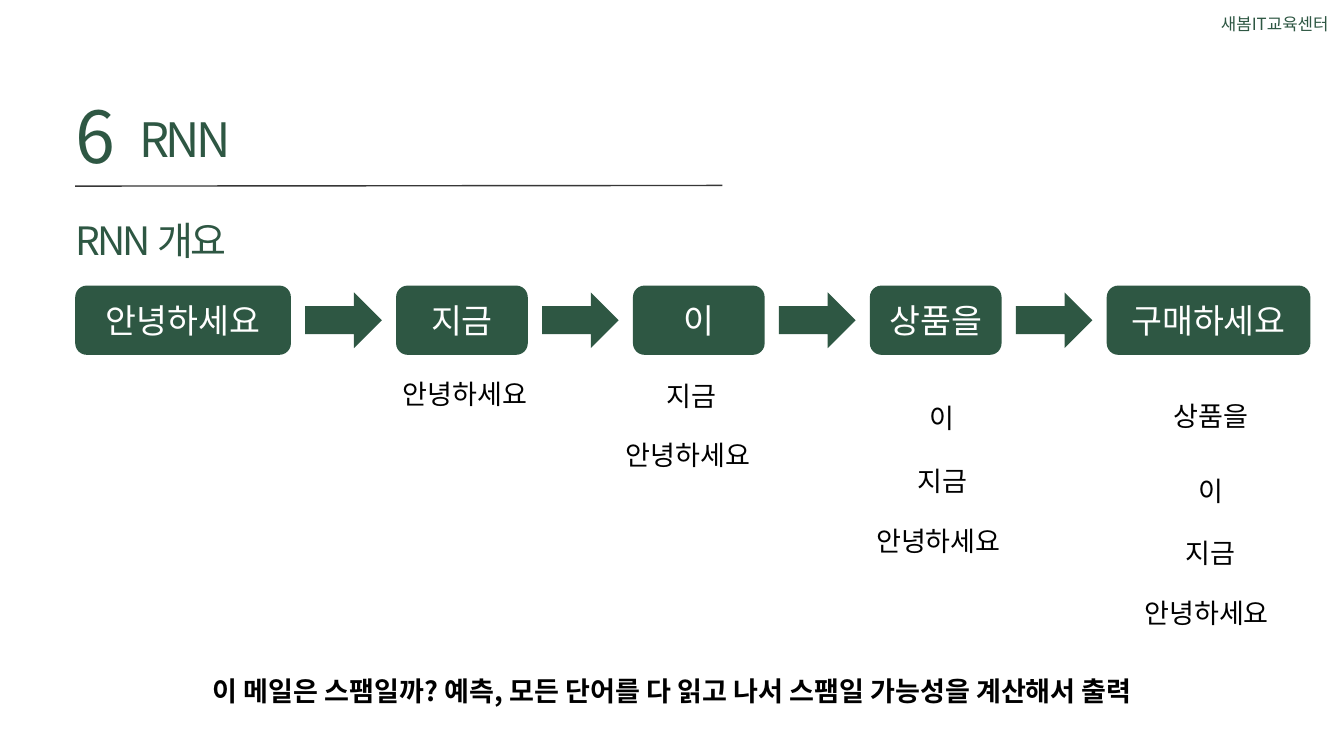
import pptx
import pptx.util
import pptx.dml.color
import pptx.enum.shapes
import pptx.enum.text
import pptx.oxml.ns
import lxml.etree

Pt = pptx.util.Pt
RGB = pptx.dml.color.RGBColor
KIND = pptx.enum.shapes.MSO_SHAPE
ALIGN = pptx.enum.text.PP_ALIGN
qn = pptx.oxml.ns.qn

GREEN = RGB(0x2E, 0x57, 0x43)
GREY = RGB(0x37, 0x37, 0x37)
BLACK = RGB(0, 0, 0)
WHITE = RGB(255, 255, 255)
FONT = "Noto Sans CJK KR"

BRAND = "새봄IT교육센터"
HEADS = [
    ("6", 80.6, 83.5, 57, 99.4, 76.8, 107.5, -5.1),
    ("RNN", 149, 108, 496, 66.2, 50.8, 71.1, -3.4),
    ("RNN 개요", 80.6, 223.2, 693.4, 54, 41.8, 58.5, -2.8),
]
STEPS = [("안녕하세요", 231.1), ("지금", 141.1), ("이", 141.1),
         ("상품을", 141.1), ("구매하세요", 218.2)]
STACKS = [
    (424.1, [383.8]),
    (663.1, [385.2, 449.3]),
    (931.7, [409.7, 476.6, 541.4]),
    (1219, [406.8, 487.4, 553.7, 618.5]),
]
NOTE = "이 메일은 스팸일까? 예측, 모든 단어를 다 읽고 나서 스팸일 가능성을 계산해서 출력"

LEFT, TOP, HIGH = 80.6, 306, 74.2
GAP, ARROW_W, ARROW_H = 15.3, 82.1, 59.8
WORD_W, WORD_H, WORD_SIZE = 156.2, 54, 29

deck = pptx.Presentation()
deck.slide_width, deck.slide_height = Pt(1440), Pt(810)
slide = deck.slides.add_slide(deck.slide_layouts[6])


def write(shape, text, size, color, align=ALIGN.LEFT, space=None, track=0, bold=False):
    shape.text_frame.text = text
    para = shape.text_frame.paragraphs[0]
    para.alignment = align
    para.line_spacing = space
    run = para.runs[0]
    run.font.name = FONT
    run.font.size = Pt(size)
    run.font.bold = bold
    run.font.color.rgb = color
    props = run.font._element
    lxml.etree.SubElement(props, qn("a:ea")).set("typeface", FONT)
    if track:
        props.set("spc", str(round(track * 100)))


def label(text, x, y, w, h, size, color, inset=True, **style):
    box = slide.shapes.add_textbox(Pt(x), Pt(y), Pt(w), Pt(h))
    frame = box.text_frame
    frame.word_wrap = True
    frame.auto_size = pptx.enum.text.MSO_AUTO_SIZE.SHAPE_TO_FIT_TEXT
    if not inset:
        frame.margin_left = frame.margin_right = 0
        frame.margin_top = frame.margin_bottom = 0
    write(box, text, size, color, **style)


def block(kind, x, y, w, h):
    shape = slide.shapes.add_shape(kind, Pt(x), Pt(y), Pt(w), Pt(h))
    shape.shadow.inherit = False
    shape.fill.solid()
    shape.fill.fore_color.rgb = GREEN
    shape.line.fill.background()
    return shape


label(BRAND, 1292.4, 10.8, 138.2, 28.8, 18, GREEN, align=ALIGN.RIGHT)

rule = slide.shapes.add_connector(
    pptx.enum.shapes.MSO_CONNECTOR.STRAIGHT, Pt(LEFT), Pt(199.4), Pt(774), Pt(198.7))
rule.line.color.rgb = GREY
rule.line.width = Pt(1.5)
lxml.etree.SubElement(rule._element.spPr, qn("a:effectLst"))

for text, x, y, w, h, size, lead, track in HEADS:
    label(text, x, y, w, h, size, GREEN, inset=False, space=Pt(lead), track=track)

x = LEFT
for index, (word, width) in enumerate(STEPS):
    if index:
        block(KIND.RIGHT_ARROW, x, TOP + (HIGH - ARROW_H) / 2, ARROW_W, ARROW_H)
        x += ARROW_W + GAP
    step = block(KIND.ROUNDED_RECTANGLE, x, TOP, width, HIGH)
    step.text_frame.vertical_anchor = pptx.enum.text.MSO_ANCHOR.MIDDLE
    write(step, word, 36, WHITE, align=ALIGN.CENTER)
    x += width + GAP

for x, tops in STACKS:
    past = [word for word, width in STEPS[:len(tops)]]
    for index, (word, y) in enumerate(zip(reversed(past), tops), 1):
        align = ALIGN.LEFT if index == len(tops) else ALIGN.CENTER
        label(word, x, y, WORD_W, WORD_H, WORD_SIZE, BLACK, align=align, space=1.5)

label(NOTE, 221, 702, 1074.2, WORD_H, WORD_SIZE, BLACK, space=1.5, bold=True)

deck.save("out.pptx")
